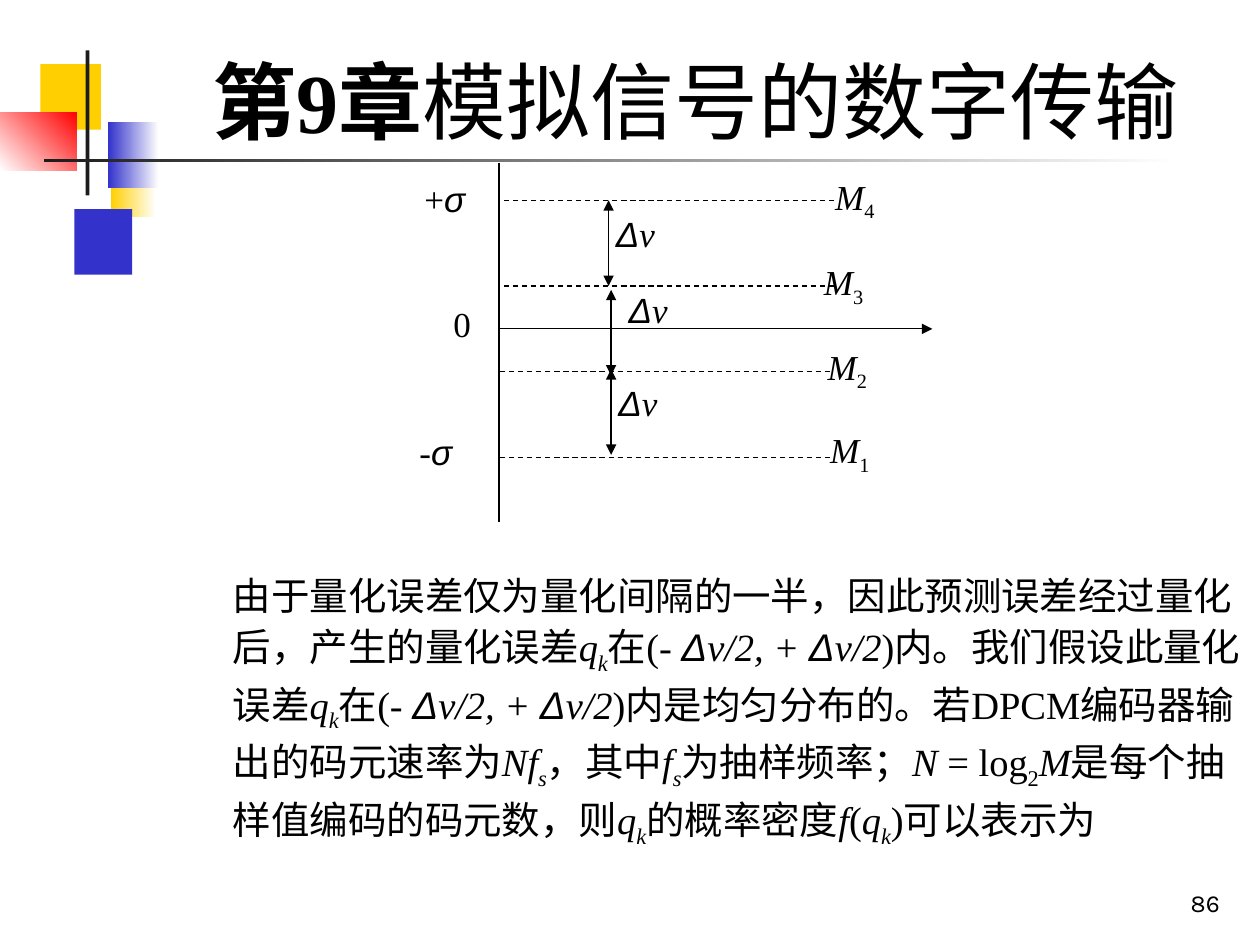
from lxml.etree import SubElement
from pptx import Presentation
from pptx.dml.color import RGBColor
from pptx.enum.dml import MSO_LINE
from pptx.enum.shapes import MSO_CONNECTOR, MSO_SHAPE
from pptx.enum.text import MSO_ANCHOR, PP_ALIGN
from pptx.oxml.ns import qn
from pptx.util import Inches, Pt

SERIF, SYMBOL = "Times New Roman", "Arial"
BLACK, WHITE = "000000", "FFFFFF"
YELLOW, BLUE, RED, DARK = "FFCF01", "3333CC", "FF0000", "1C1C1C"

# Left, top, width, height, colours (one is solid, two a gradient), angle
DECORATION = [
    (0.88, 1.2, 0.36, 0.52, [WHITE, YELLOW], 180),
    (0.59, 1.66, 0.46, 0.52, [BLUE], 0),
    (0.32, 0.51, 0.48, 0.52, [YELLOW], 0),
    (0.86, 0.97, 0.4, 0.52, [WHITE, BLUE], 180),
    (0, 0.89, 0.61, 0.46, [RED, WHITE], 225),
    (0.68, 0.4, 0.03, 1.15, [DARK], 0),
    (0.35, 1.26, 9, 0.03, [WHITE, DARK], 180),
]

# Runs are (text, style): b bold, i italic, s subscript, a symbol font
TITLE = [("第9章", "b"), ("模拟信号的数字传输", "")]
ERROR = [("q", "i"), ("k", "is")]
STEP = [("Δ", "ia"), ("v", "i")]
HALF_STEP = [("Δ", "ia"), ("v/2", "i")]
RANGE = [("在(- ", ""), *HALF_STEP, (", + ", "i"), *HALF_STEP]
RATE = [("f", "i"), ("s", "is")]
BODY = [
    ("由于量化误差仅为量化间隔的一半，因此预测误差经过量化后，产生的量化误差", ""),
    *ERROR, *RANGE, (")内。我们假设此量化误差", ""),
    *ERROR, *RANGE, (")内是均匀分布的。若DPCM编码器输出的码元速率为", ""),
    ("N", "i"), *RATE, ("，其中", ""), *RATE, ("为抽样频率；", ""),
    ("N", "i"), (" = log", ""), ("2", "s"), ("M", "i"),
    ("是每个抽样值编码的码元数，则", ""), *ERROR, ("的概率密度", ""),
    ("f", "i"), ("(", ""), *ERROR, (")可以表示为", ""),
]

AXIS_X, ZERO_Y = 3.96, 2.61
LEVEL_GAP, LEVEL_WIDTH = 0.68, 2.63
# Level number, line start, label left, label top
LEVELS = [(4, 4, 6.53, 1.34), (3, 4, 6.44, 2.02),
          (2, 3.97, 6.47, 2.69), (1, 3.97, 6.49, 3.35)]
# Arrow x, arrow top, label left, label top
STEPS = [(4.83, 1.59, 4.79, 1.64), (4.85, 2.3, 4.89, 2.24),
         (4.85, 2.93, 4.81, 2.98)]
AXIS_LABELS = [
    ([("+", ""), ("σ", "ia")], 3.27, 1.36),
    ([("0", "")], 3.5, 2.35),
    ([("-", ""), ("σ", "ia")], 3.23, 3.37),
]


def color(value):
    return RGBColor.from_string(value)


def add_block(page, left, top, width, height, colors, angle):
    block = page.shapes.add_shape(
        MSO_SHAPE.RECTANGLE, *map(Inches, (left, top, width, height)))
    block.shadow.inherit = False
    block.line.fill.background()
    if len(colors) == 1:
        block.fill.solid()
        block.fill.fore_color.rgb = color(colors[0])
        return
    block.fill.gradient()
    block.fill.gradient_angle = angle
    for stop, value in zip(block.fill.gradient_stops, colors):
        stop.color.rgb = color(value)


def add_text(page, runs, left, top, width, height, size=20, font=SERIF,
             align=PP_ALIGN.LEFT, anchor=MSO_ANCHOR.TOP, spacing=1.0):
    box = page.shapes.add_textbox(*map(Inches, (left, top, width, height)))
    frame = box.text_frame
    frame.word_wrap = True
    frame.vertical_anchor = anchor
    para = frame.paragraphs[0]
    para.alignment = align
    para.line_spacing = spacing
    for text, style in runs:
        span = para.add_run()
        span.text = text
        span.font.size = Pt(size)
        span.font.name = SYMBOL if "a" in style else font
        span.font.bold = "b" in style
        span.font.italic = "i" in style
        span.font.color.rgb = color(BLACK)
        if "s" in style:
            span.font._element.set("baseline", "-25000")


def add_line(page, x1, y1, x2, y2, dashed=False, arrows=()):
    """Draw a thin line; arrows holds headEnd and/or tailEnd, in that order."""
    line = page.shapes.add_connector(
        MSO_CONNECTOR.STRAIGHT, *map(Inches, (x1, y1, x2, y2)))
    line.line.color.rgb = color(BLACK)
    line.line.width = Pt(0.75)
    if dashed:
        line.line.dash_style = MSO_LINE.DASH
    outline = line.line._get_or_add_ln()
    for end in arrows:
        SubElement(outline, qn(f"a:{end}"), type="triangle")
    SubElement(line._element.spPr, qn("a:effectLst"))


def add_diagram(page):
    add_line(page, AXIS_X, 1.29, AXIS_X, 4.14)
    add_line(page, AXIS_X, ZERO_Y, 7.4, ZERO_Y, arrows=["tailEnd"])
    for number, start, left, top in LEVELS:
        y = ZERO_Y + (2.5 - number) * LEVEL_GAP
        add_line(page, start, y, start + LEVEL_WIDTH, y, dashed=True)
        add_text(page, [("M", "i"), (str(number), "s")], left, top, 0.87, 0.51)
    for x, y, left, top in STEPS:
        add_line(page, x, y, x, y + LEVEL_GAP, arrows=["headEnd", "tailEnd"])
        add_text(page, STEP, left, top, 0.89, 0.59)
    for runs, left, top in AXIS_LABELS:
        add_text(page, runs, left, top, 0.85, 0.51)


def main():
    deck = Presentation()
    deck.slide_width, deck.slide_height = Inches(10), Inches(7.5)
    page = deck.slides.add_slide(deck.slide_layouts[6])
    for block in DECORATION:
        add_block(page, *block)
    add_text(page, TITLE, 1.26, 0.23, 8.52, 1.01, size=48,
             align=PP_ALIGN.CENTER, anchor=MSO_ANCHOR.BOTTOM)
    add_text(page, BODY, 1.75, 4.45, 8.25, 3.05, size=22, spacing=1.1)
    add_diagram(page)
    add_text(page, [("86", "")], 7.7, 6.83, 2.08, 0.5, size=14, font="Karla",
             align=PP_ALIGN.RIGHT, anchor=MSO_ANCHOR.BOTTOM)
    deck.save("out.pptx")


if __name__ == "__main__":
    main()
